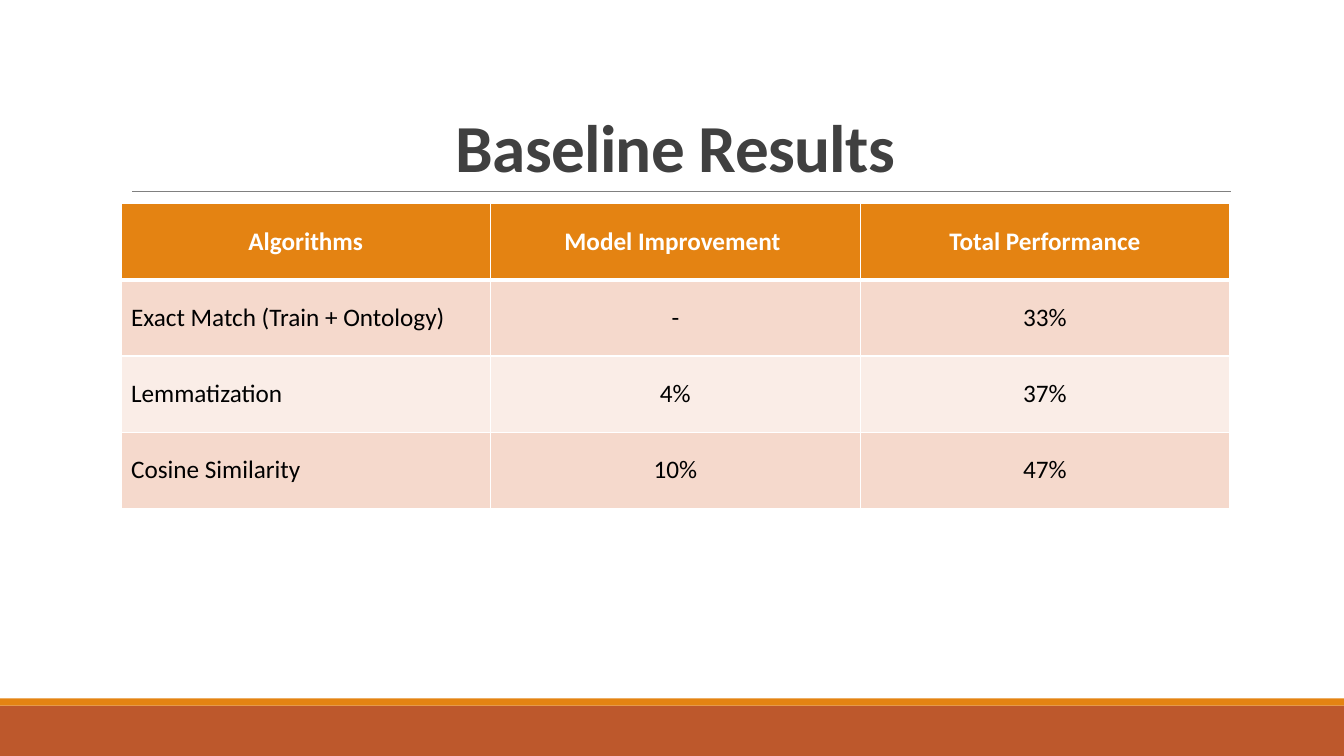
from dataclasses import dataclass

from lxml import etree
from pptx import Presentation
from pptx.dml.color import RGBColor
from pptx.enum import shapes, text
from pptx.oxml import ns
from pptx.util import Cm, Pt

COLORS = {
    "white": "FFFFFF",
    "black": "000000",
    "title": "404040",
    "rule": "808080",
    "orange": "E48312",
    "rust": "BD582C",
    "band_dark": "F5D9CC",
    "band_light": "FAEDE7",
}
FONT = "Calibri"
SLIDE_WIDTH, SLIDE_HEIGHT = 33.87, 19.05
CONTENT_LEFT, CONTENT_WIDTH = 3.05, 27.94
ROW_HEIGHT = 1.92

RESULTS = [
    ("Algorithms", "Model Improvement ", "Total Performance"),
    ("Exact Match (Train + Ontology)", "-", "33%"),
    ("Lemmatization", "4%", "37%"),
    ("Cosine Similarity", "10%", "47%"),
]


@dataclass
class FooterBand:
    top: float
    height: float
    color: str


FOOTER_BANDS = [FooterBand(17.78, 1.27, "rust"), FooterBand(17.6, 0.18, "orange")]


def rgb(name: str) -> RGBColor:
    return RGBColor.from_string(COLORS[name])


def write(frame, content: str, *, size: float, color: str, bold: bool = False,
          align=text.PP_ALIGN.CENTER, line_spacing: float = 1.0,
          tracking: int = 0) -> None:
    paragraph = frame.paragraphs[0]
    paragraph.alignment = align
    paragraph.line_spacing = line_spacing
    run = paragraph.add_run()
    run.text = content
    run.font.name = FONT
    run.font.size = Pt(size)
    run.font.bold = bold
    run.font.color.rgb = rgb(color)
    if tracking:
        run.font._element.set("spc", str(tracking))


def draw_footer_band(slide, band: FooterBand) -> None:
    bar = slide.shapes.add_shape(shapes.MSO_SHAPE.RECTANGLE, 0, Cm(band.top),
                                 Cm(SLIDE_WIDTH), Cm(band.height))
    bar.shadow.inherit = False
    bar.fill.solid()
    bar.fill.fore_color.rgb = rgb(band.color)
    bar.line.fill.background()


def draw_title_rule(slide) -> None:
    rule = slide.shapes.add_connector(shapes.MSO_CONNECTOR.STRAIGHT,
                                      Cm(3.33), Cm(4.83), Cm(31.01), Cm(4.83))
    rule.line.color.rgb = rgb("rule")
    rule.line.width = Pt(0.5)
    etree.SubElement(rule._element.spPr, ns.qn("a:effectLst"))


def draw_title(slide) -> None:
    title = slide.shapes.add_textbox(Cm(CONTENT_LEFT), Cm(0.79),
                                     Cm(CONTENT_WIDTH), Cm(4.04))
    frame = title.text_frame
    frame.word_wrap = True
    frame.vertical_anchor = text.MSO_ANCHOR.BOTTOM
    write(frame, "Baseline Results", size=48, color="title", bold=True,
          line_spacing=0.85, tracking=-50)


def set_borders(cell, widths: dict[str, float]) -> None:
    properties = cell._tc.get_or_add_tcPr()
    for position, (side, width) in enumerate(widths.items()):
        border = etree.Element(ns.qn(f"a:ln{side}"), w=str(Pt(width)))
        fill = etree.SubElement(border, ns.qn("a:solidFill"))
        etree.SubElement(fill, ns.qn("a:srgbClr"), val=COLORS["white"])
        properties.insert(position, border)


def draw_results(slide) -> None:
    row_count, column_count = len(RESULTS), len(RESULTS[0])
    results = slide.shapes.add_table(
        row_count, column_count, Cm(CONTENT_LEFT), Cm(5.13),
        Cm(CONTENT_WIDTH), Cm(ROW_HEIGHT * row_count)).table
    for r, entries in enumerate(RESULTS):
        is_header = r == 0
        fill = "orange" if is_header else ("band_dark" if r % 2 else "band_light")
        for c, entry in enumerate(entries):
            cell = results.cell(r, c)
            cell.fill.solid()
            cell.fill.fore_color.rgb = rgb(fill)
            cell.vertical_anchor = text.MSO_ANCHOR.MIDDLE
            set_borders(cell, {"L": 1, "R": 1, "T": 3 if r == 1 else 1,
                               "B": 3 if is_header else 1})
            centred = is_header or c > 0
            write(cell.text_frame, entry, size=18, bold=is_header,
                  color="white" if is_header else "black",
                  align=text.PP_ALIGN.CENTER if centred else text.PP_ALIGN.LEFT)


def main() -> None:
    deck = Presentation()
    deck.slide_width, deck.slide_height = Cm(SLIDE_WIDTH), Cm(SLIDE_HEIGHT)
    slide = deck.slides.add_slide(deck.slide_layouts[6])

    # Footer
    for band in FOOTER_BANDS:
        draw_footer_band(slide, band)

    # Heading
    draw_title_rule(slide)
    draw_title(slide)

    # Results table
    draw_results(slide)

    deck.save("out.pptx")


if __name__ == "__main__":
    main()
